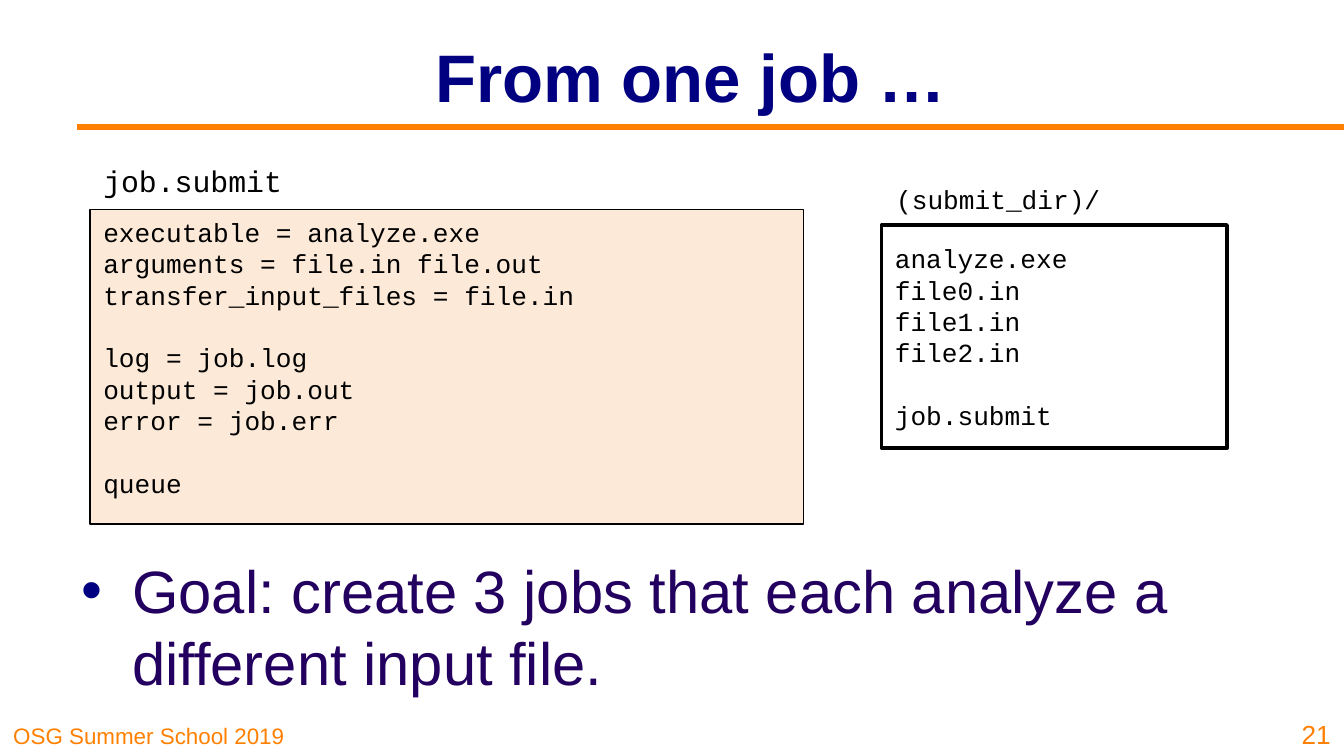
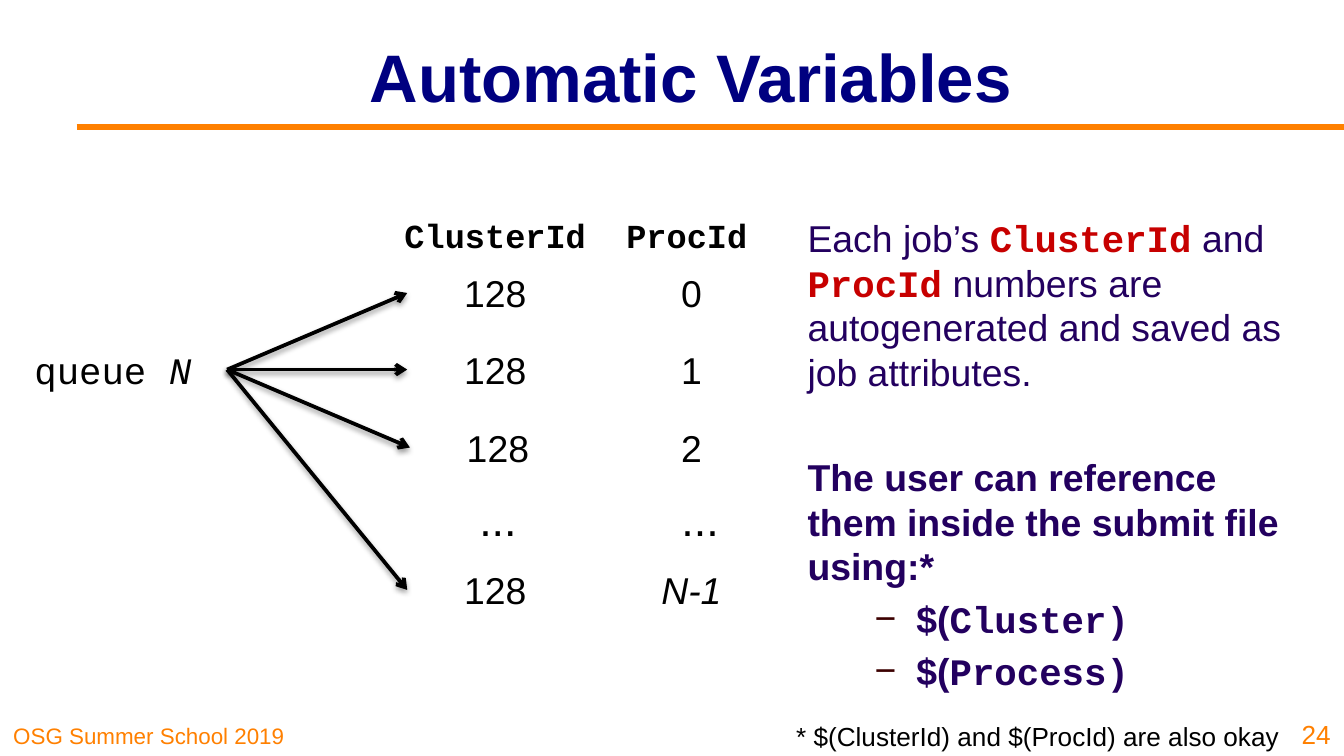
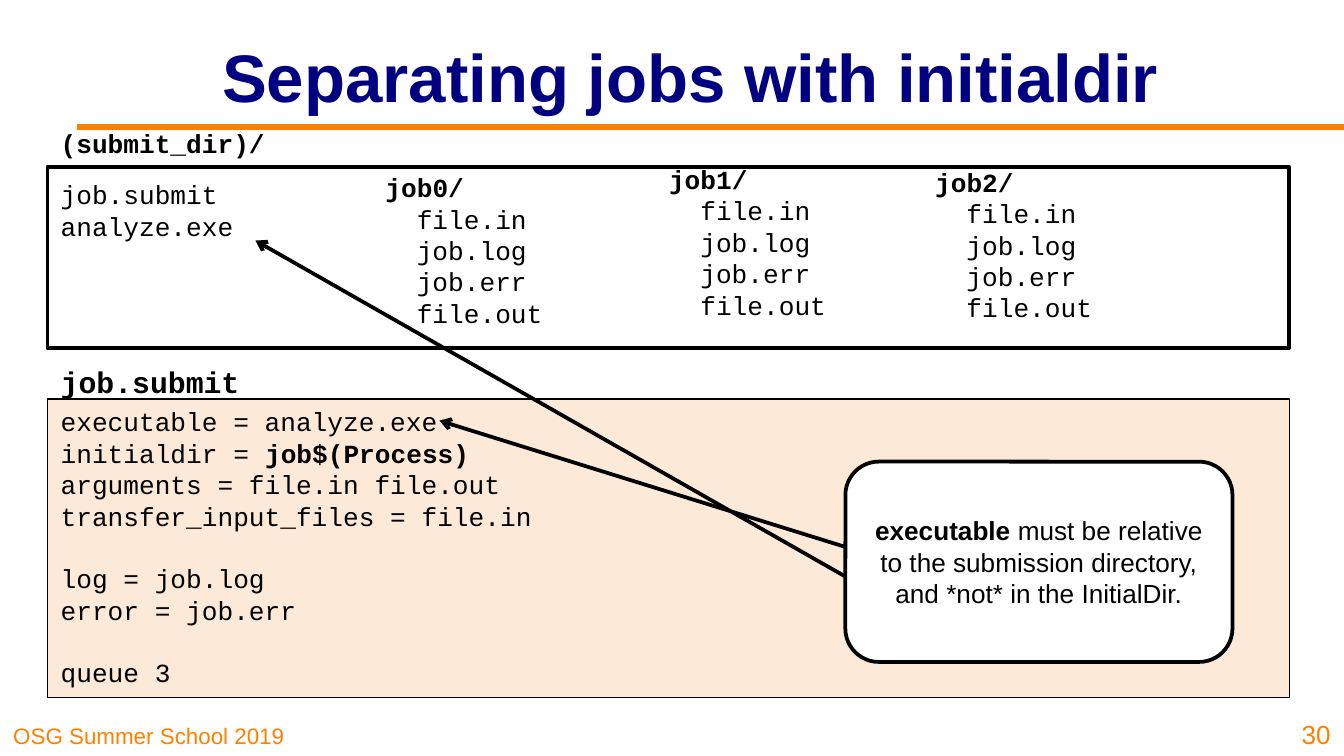
"""Build three slides on submitting many jobs from one submit file."""
from dataclasses import dataclass, replace
from typing import Optional

from lxml import etree
from pptx import Presentation
from pptx import util as u
from pptx.dml.color import RGBColor
from pptx.enum import shapes, text
from pptx.oxml import ns

COLUMNS, ROWS = 100, 56.25
CELL = u.Inches(10) // COLUMNS
SANS, MONO = "Arial", "Courier New"
ORANGE, NAVY, PURPLE = "FF8000", "000080", "23005F"
BLACK, WHITE, PEACH, RED, MAROON = "000000", "FFFFFF", "FCE9D7", "C70000", "3C0000"
LINE_HEIGHT = 1.2
LEFT, CENTER, RIGHT = text.PP_ALIGN.LEFT, text.PP_ALIGN.CENTER, text.PP_ALIGN.RIGHT
TOP, MIDDLE, BOTTOM = text.MSO_ANCHOR.TOP, text.MSO_ANCHOR.MIDDLE, text.MSO_ANCHOR.BOTTOM
RECTANGLE = shapes.MSO_SHAPE.RECTANGLE
ROUNDED = shapes.MSO_SHAPE.ROUNDED_RECTANGLE


@dataclass(frozen=True)
class Area:
    """A rectangle in grid columns and rows."""
    left: float
    top: float
    width: float
    height: float


@dataclass(frozen=True)
class Style:
    """How the characters of a span look."""
    size: float
    font: str = SANS
    color: str = BLACK
    bold: bool = False
    italic: bool = False


@dataclass(frozen=True)
class Span:
    """Words whose style may differ from that of their box."""
    words: str
    style: Optional[Style] = None


@dataclass(frozen=True)
class Line:
    """A paragraph with its spacing in points and indents in columns."""
    spans: tuple[Span, ...]
    before: float = 0
    margin: float = 0
    hanging: float = 0
    bullet: str = ""
    bullet_color: str = BLACK


@dataclass(frozen=True)
class Frame:
    """The outline and fill of a box."""
    shape: shapes.MSO_SHAPE
    fill: str
    weight: float


CODE = Style(14, MONO)
CODE_BOLD = replace(CODE, bold=True)
FILE_NAME = Style(16, MONO)
TITLE = Style(36, color=NAVY, bold=True)
CODE_FRAME = Frame(RECTANGLE, PEACH, 0.75)
FOLDER_FRAME = Frame(RECTANGLE, WHITE, 2)
CALLOUT_FRAME = Frame(ROUNDED, WHITE, 2)


def color(value: str) -> RGBColor:
    """Turn a hex string into a colour."""
    return RGBColor.from_string(value)


def cells(count: float) -> int:
    """Turn a number of grid cells into a length."""
    return round(count * CELL)


def line(*parts: str | Span, **layout) -> Line:
    """Make a paragraph from strings and spans."""
    return Line(tuple(Span(p) if isinstance(p, str) else p for p in parts), **layout)


def code_blocks(*blocks: tuple[str | Line, ...]) -> list[Line]:
    """Stack blocks of code with the height of one line between them."""
    lines = []
    for number, block in enumerate(blocks):
        rows = [row if isinstance(row, Line) else line(row) for row in block]
        if number:
            rows[0] = replace(rows[0], before=CODE.size * LINE_HEIGHT)
        lines += rows
    return lines


def write_line(para, content: Line, style: Style, align) -> None:
    """Fill one paragraph and format its spans."""
    props = para._p.get_or_add_pPr()
    if content.margin:
        props.set("marL", str(cells(content.margin)))
        props.set("indent", str(-cells(content.hanging)))
    if content.bullet:
        tint = etree.SubElement(props, ns.qn("a:buClr"))
        etree.SubElement(tint, ns.qn("a:srgbClr")).set("val", content.bullet_color)
        etree.SubElement(props, ns.qn("a:buFont")).set("typeface", SANS)
        etree.SubElement(props, ns.qn("a:buChar")).set("char", content.bullet)
    para.alignment = align
    if content.before:
        para.space_before = u.Pt(content.before)
    para.text = content.spans[0].words
    for span in content.spans[1:]:
        para.add_run().text = span.words
    for run, span in zip(para.runs, content.spans):
        look = span.style or style
        run.font.name, run.font.size = look.font, u.Pt(look.size)
        run.font.bold, run.font.italic = look.bold, look.italic
        run.font.color.rgb = color(look.color)


def add_box(page, area: Area, lines: list[Line], style: Style, align=LEFT, anchor=TOP,
            frame: Optional[Frame] = None, inset: float = 0.5) -> None:
    """Add a text box, or a framed shape, holding the lines."""
    place = [cells(n) for n in (area.left, area.top, area.width, area.height)]
    if frame:
        box = page.shapes.add_shape(frame.shape, *place)
        box.shadow.inherit = False
        box.fill.solid()
        box.fill.fore_color.rgb = color(frame.fill)
        box.line.color.rgb = color(BLACK)
        box.line.width = u.Pt(frame.weight)
    else:
        box = page.shapes.add_textbox(*place)
    body = box.text_frame
    body.word_wrap = True
    body.vertical_anchor = anchor
    body.margin_top = cells(inset)
    for number, content in enumerate(lines):
        para = body.add_paragraph() if number else body.paragraphs[0]
        write_line(para, content, style, align)


def add_rule(page, start: tuple[float, float], end: tuple[float, float], tint: str = BLACK,
             weight: float = 2, arrow: bool = True, shadow: bool = False) -> None:
    """Add a straight line, by default with an arrowhead at its end."""
    rule = page.shapes.add_connector(shapes.MSO_CONNECTOR.STRAIGHT,
                                     *(cells(n) for n in (*start, *end)))
    rule.line.color.rgb = color(tint)
    rule.line.width = u.Pt(weight)
    if arrow:
        etree.SubElement(rule.line._get_or_add_ln(), ns.qn("a:tailEnd")).set("type", "arrow")
    effects = etree.SubElement(rule._element.spPr, ns.qn("a:effectLst"))
    if shadow:
        cast = etree.SubElement(effects, ns.qn("a:outerShdw"), blurRad=str(u.Pt(3.1)),
                                dist=str(u.Pt(1.6)), dir=str(90 * 60000), rotWithShape="0")
        shade = etree.SubElement(cast, ns.qn("a:srgbClr"), val=BLACK)
        etree.SubElement(shade, ns.qn("a:alpha"), val="38000")


def add_page(deck, title: str, number: int):
    """Add a page with its title, band and footer."""
    page = deck.slides.add_slide(deck.slide_layouts[6])
    add_box(page, Area(0, 53.15, 24.8, 3.1), [line("OSG Summer School 2019")],
            Style(12, color=ORANGE), anchor=BOTTOM)
    add_rule(page, (5.7, 9.47), (COLUMNS, 9.47), ORANGE, 3, arrow=False)
    add_box(page, Area(13.4, 0.9, 76, 9.4), [line(title)], TITLE, CENTER, MIDDLE)
    add_box(page, Area(95.4, 52.5, 4.6, 3.75), [line(str(number))],
            Style(14, color=ORANGE), RIGHT, BOTTOM)
    return page


def build_one_job(deck) -> None:
    """Show the submit file of a single job and its folder."""
    page = add_page(deck, "From one job …", 21)
    goal = line("Goal: create 3 jobs that each analyze a different input file.",
                margin=3.75, hanging=3.75, bullet="•", bullet_color=NAVY)
    add_box(page, Area(5.1, 40.7, 90, 12.1), [goal], Style(32, color=PURPLE))
    submit_file = code_blocks(
        ("executable = analyze.exe", "arguments = file.in file.out",
         "transfer_input_files = file.in"),
        ("log = job.log", "output = job.out", "error = job.err"),
        ("queue",))
    add_box(page, Area(6.7, 15.6, 53.1, 23.4), submit_file, CODE, frame=CODE_FRAME)
    add_box(page, Area(6.7, 11.6, 15.5, 3.1), [line("job.submit")], FILE_NAME)
    folder = code_blocks(("analyze.exe", "file0.in", "file1.in", "file2.in"), ("job.submit",))
    add_box(page, Area(65.6, 16.75, 25.7, 16.6), folder, CODE, anchor=MIDDLE,
            frame=FOLDER_FRAME)
    add_box(page, Area(65.7, 13.15, 21.7, 3.3), [line("(submit_dir)/")], CODE)


def build_variables(deck) -> None:
    """Show how queue N numbers its jobs."""
    page = add_page(deck, "Automatic Variables", 24)
    prose = Style(20, color=PURPLE)
    strong = replace(prose, bold=True)
    keyword = Style(20, MONO, RED, bold=True)
    gap, blank = 4, prose.size * LINE_HEIGHT
    notes = [
        line("Each job’s ", Span("ClusterId", keyword), " and ", Span("ProcId", keyword),
             " numbers are autogenerated and saved as job attributes."),
        line(Span("The user can reference them inside the submit file using:*", strong),
             before=blank + 2 * gap)]
    notes += [line(Span("$(", strong), Span(name, replace(strong, font=MONO)), before=gap,
                   margin=8.1, hanging=3.1, bullet="−", bullet_color=MAROON)
              for name in ("Cluster)", "Process)")]
    add_box(page, Area(59.1, 15.5, 38.8, 37), notes, prose)

    number, dots, header = Style(20), Style(24), Style(18, MONO, bold=True)
    queue = Style(20, MONO)
    row_height = 8.8
    labels = [
        (-0.1, 23.1, 17, line("queue ", Span("N", replace(queue, italic=True))), queue),
        (28.7, 13.1, 16.3, line("ClusterId"), header),
        (43.7, 13.1, 14.8, line("ProcId"), header),
        (30.5, 34.2, 13.1, line("..."), dots),
        (45.3, 34.2, 13.6, line("..."), dots)]
    jobs = [(30.3, 17.4, "0"), (30.3, 23.1, "1"), (30.5, 28.9, "2"), (30.3, 39.5, "N-1")]
    for left, top, process in jobs:
        labels.append((left, top, 13.1, line("128"), number))
        labels.append((47.8, top, 7.3, line(process),
                       replace(number, italic=not process.isdigit())))
        add_rule(page, (16.9, 27.5), (left, top + row_height / 2), shadow=True)
    for left, top, width, content, style in labels:
        add_box(page, Area(left, top, width, row_height), [content], style, CENTER, MIDDLE)
    add_box(page, Area(57.8, 53.1, 38.4, 3.4),
            [line("* $(ClusterId) and $(ProcId) are also okay")], Style(14), RIGHT)


def build_initialdir(deck) -> None:
    """Show one folder per job and the submit file that uses them."""
    page = add_page(deck, "Separating jobs with initialdir", 30)
    submit_file = code_blocks(
        ("executable = analyze.exe", line("initialdir = ", Span("job$(Process)", CODE_BOLD)),
         "arguments = file.in file.out", "transfer_input_files = file.in"),
        ("log = job.log", "error = job.err"),
        ("queue 3",))
    add_box(page, Area(3.53, 29.7, 92.4, 22.2), submit_file, CODE, frame=CODE_FRAME)
    add_box(page, Area(3.53, 12.4, 92.4, 13.5), code_blocks(("job.submit", "analyze.exe")),
            CODE, frame=FOLDER_FRAME, inset=0.9)
    files = [line(name, margin=2.33) for name in ("file.in", "job.log", "job.err", "file.out")]
    for number, (left, top) in enumerate([(27.7, 11.7), (48.8, 11.1), (68.6, 11.3)]):
        folder = line(Span(f"job{number}/", CODE_BOLD))
        add_box(page, Area(left, top, 19.4, 13.8), [folder, *files], CODE, anchor=MIDDLE)
    add_box(page, Area(3.53, 26.6, 15.5, 3.7), [line("job.submit")],
            replace(FILE_NAME, bold=True))
    add_box(page, Area(3.53, 9, 17.3, 3.4), [line("(submit_dir)/")], CODE_BOLD)
    advice = line(Span("executable", Style(14, bold=True)),
                  " must be relative to the submission directory, and *not* in the InitialDir.")
    add_box(page, Area(62.9, 34.35, 28.8, 14.9), [advice], Style(14), CENTER, MIDDLE,
            CALLOUT_FRAME)
    add_rule(page, (62.9, 40.7), (32.7, 31.3))
    add_rule(page, (62.9, 42.9), (19, 17.9))


def main() -> None:
    """Build the deck and save it."""
    deck = Presentation()
    deck.slide_width, deck.slide_height = cells(COLUMNS), cells(ROWS)
    build_one_job(deck)
    build_variables(deck)
    build_initialdir(deck)
    deck.save("out.pptx")


if __name__ == "__main__":
    main()
